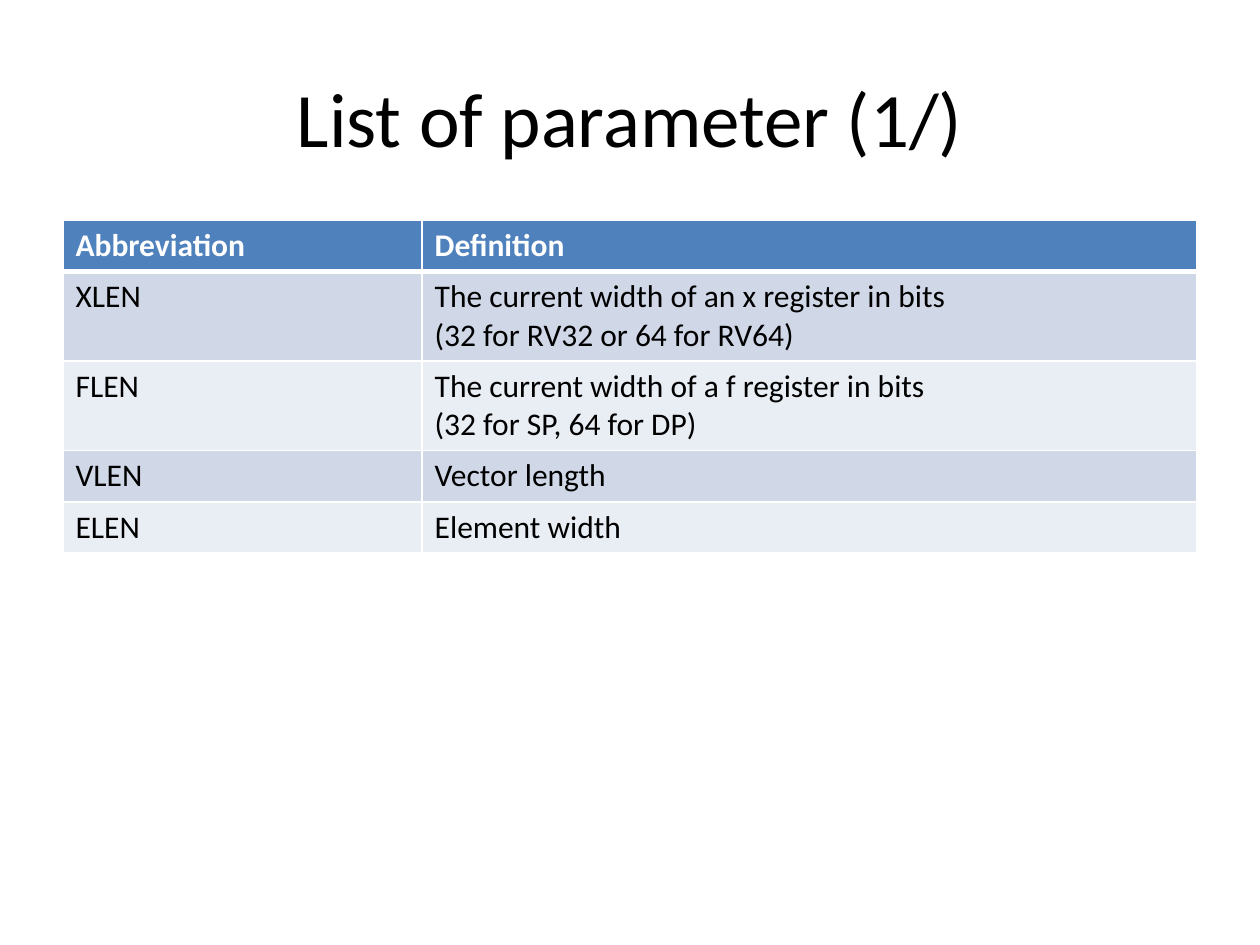
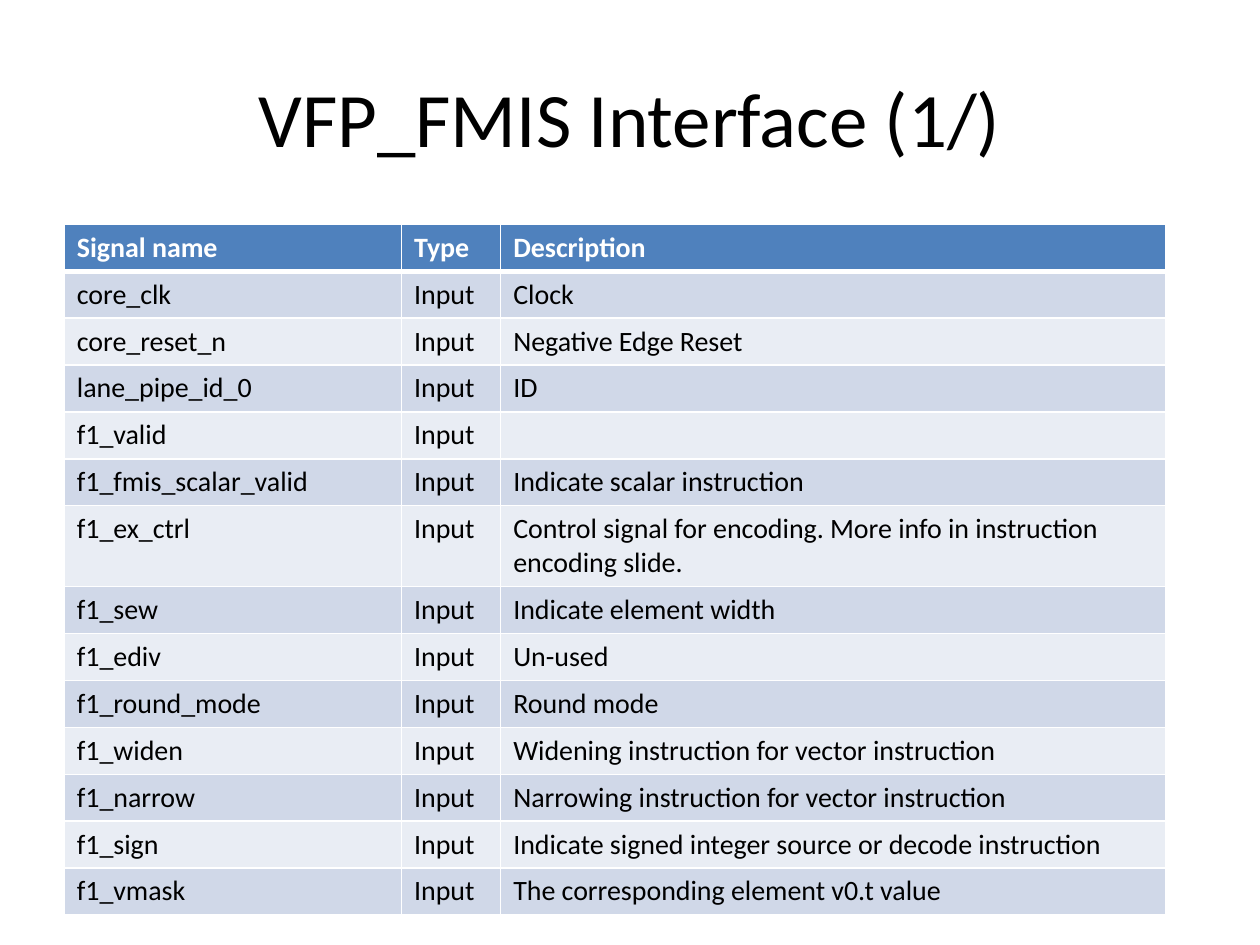
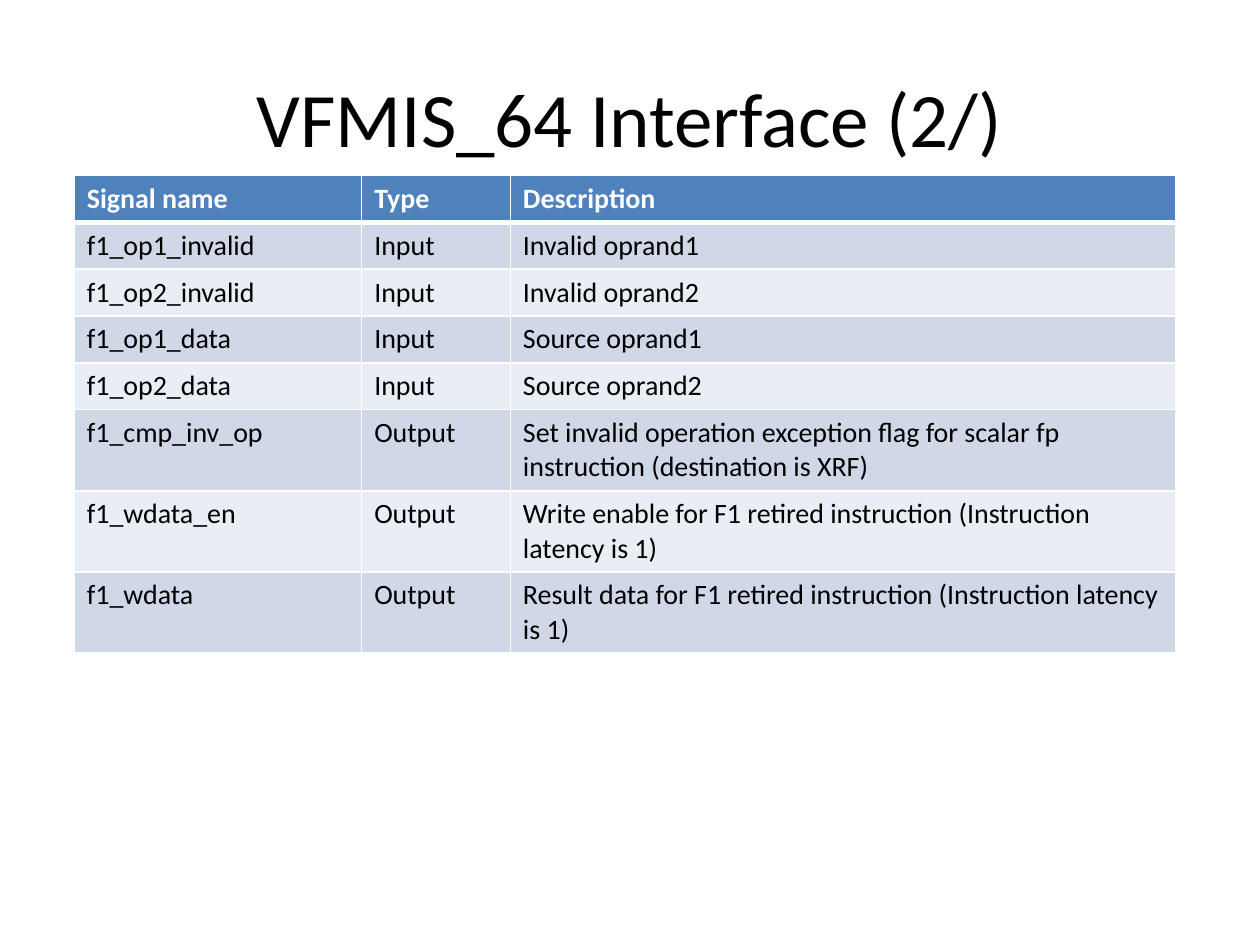
from dataclasses import dataclass

from lxml import etree
from pptx import Presentation
from pptx.dml.color import RGBColor
from pptx.enum import text
from pptx.oxml.ns import qn
from pptx.util import Pt


@dataclass(frozen=True)
class Theme:
    font: str = "Calibri"
    ink: str = "000000"
    paper: str = "FFFFFF"
    header: str = "4F81BD"
    bands: tuple = ("D0D8E8", "E9EDF4")
    title_size: float = 44
    rule: float = 1
    header_rule: float = 3


THEME = Theme()
SLIDE_SIZE = (720, 540)
TITLE_BOX = (36, 21.6, 648, 90)
SIGNAL_HEADER = ("Signal name", "Type", "Description")


def signals(direction, *entries):
    return [(name, direction, description) for name, description in entries]


PAGES = [
    dict(
        title="List of parameter (1/)",
        origin=(36, 126), columns=(205.2, 442.8), row_height=29.2, size=18,
        rows=[
            ("Abbreviation", "Definition"),
            ("XLEN", "The current width of an x register in bits\n(32 for RV32 or 64 for RV64)"),
            ("FLEN", "The current width of a f register in bits\n(32 for SP, 64 for DP)"),
            ("VLEN", "Vector length"),
            ("ELEN", "Element width"),
        ],
    ),
    dict(
        title="VFP_FMIS Interface (1/)",
        origin=(36.75, 128.2), columns=(192.7, 56.7, 379.9), row_height=18, size=16,
        rows=[SIGNAL_HEADER] + signals(
            "Input",
            ("core_clk", "Clock"),
            ("core_reset_n", "Negative Edge Reset"),
            ("lane_pipe_id_0", "ID"),
            ("f1_valid", ""),
            ("f1_fmis_scalar_valid", "Indicate scalar instruction"),
            ("f1_ex_ctrl", "Control signal for encoding. More info in instruction encoding slide."),
            ("f1_sew", "Indicate element width"),
            ("f1_ediv", "Un-used"),
            ("f1_round_mode", "Round mode"),
            ("f1_widen", "Widening instruction for vector instruction"),
            ("f1_narrow", "Narrowing instruction for vector instruction"),
            ("f1_sign", "Indicate signed integer source or decode instruction"),
            ("f1_vmask", "The corresponding element v0.t value"),
        ),
    ),
    dict(
        title="VFMIS_64 Interface (2/)",
        origin=(42.5, 100.2), columns=(164.2, 85, 380.1), row_height=18, size=16,
        rows=[SIGNAL_HEADER] + signals(
            "Input",
            ("f1_op1_invalid", "Invalid oprand1"),
            ("f1_op2_invalid", "Invalid oprand2"),
            ("f1_op1_data", "Source oprand1"),
            ("f1_op2_data", "Source oprand2"),
        ) + signals(
            "Output",
            ("f1_cmp_inv_op", "Set invalid operation exception flag for scalar fp instruction (destination is XRF)"),
            ("f1_wdata_en", "Write enable for F1 retired instruction (Instruction latency is 1)"),
            ("f1_wdata", "Result data for F1 retired instruction (Instruction latency is 1)"),
        ),
    ),
]


def add_run(paragraph, words, size, color, bold=False):
    run = paragraph.add_run()
    run.text = words
    run.font.name = THEME.font
    run.font.size = Pt(size)
    run.font.bold = bold
    run.font.color.rgb = RGBColor.from_string(color)


def add_title(slide, words):
    title = slide.shapes.title
    title.left, title.top, title.width, title.height = map(Pt, TITLE_BOX)
    title.text_frame.vertical_anchor = text.MSO_ANCHOR.MIDDLE
    paragraph = title.text_frame.paragraphs[0]
    paragraph.alignment = text.PP_ALIGN.CENTER
    add_run(paragraph, words, THEME.title_size, THEME.ink)


def add_borders(cell, row):
    widths = dict(
        lnL=THEME.rule,
        lnR=THEME.rule,
        lnT=THEME.header_rule if row == 1 else THEME.rule,
        lnB=THEME.header_rule if row == 0 else THEME.rule,
    )
    properties = cell._tc.get_or_add_tcPr()
    for side, width in widths.items():
        line = etree.SubElement(properties, qn(f"a:{side}"), w=str(Pt(width)))
        fill = etree.SubElement(line, qn("a:solidFill"))
        etree.SubElement(fill, qn("a:srgbClr"), val=THEME.paper)


def fill_cell(cell, words, row, size):
    is_header = row == 0
    add_borders(cell, row)
    cell.fill.solid()
    background = THEME.header if is_header else THEME.bands[(row - 1) % 2]
    cell.fill.fore_color.rgb = RGBColor.from_string(background)
    frame = cell.text_frame
    for index, line in enumerate(words.split("\n")):
        paragraph = frame.add_paragraph() if index else frame.paragraphs[0]
        if line:
            add_run(paragraph, line, size, THEME.paper if is_header else THEME.ink, is_header)
        else:
            etree.SubElement(paragraph._p, qn("a:endParaRPr"), sz=str(size * 100))


def add_definitions(slide, origin, columns, row_height, size, rows):
    extent = (sum(columns), row_height * len(rows))
    table = slide.shapes.add_table(len(rows), len(columns), *map(Pt, origin + extent)).table
    for column, width in zip(table.columns, columns):
        column.width = Pt(width)
    for row, entries in enumerate(rows):
        table.rows[row].height = Pt(row_height)
        for column, words in enumerate(entries):
            fill_cell(table.cell(row, column), words, row, size)


def main():
    deck = Presentation()
    deck.slide_width, deck.slide_height = map(Pt, SLIDE_SIZE)
    title_only = deck.slide_layouts.get_by_name("Title Only")
    for page in PAGES:
        slide = deck.slides.add_slide(title_only)
        add_title(slide, page["title"])
        add_definitions(slide, **{key: part for key, part in page.items() if key != "title"})
    deck.save("out.pptx")


if __name__ == "__main__":
    main()
